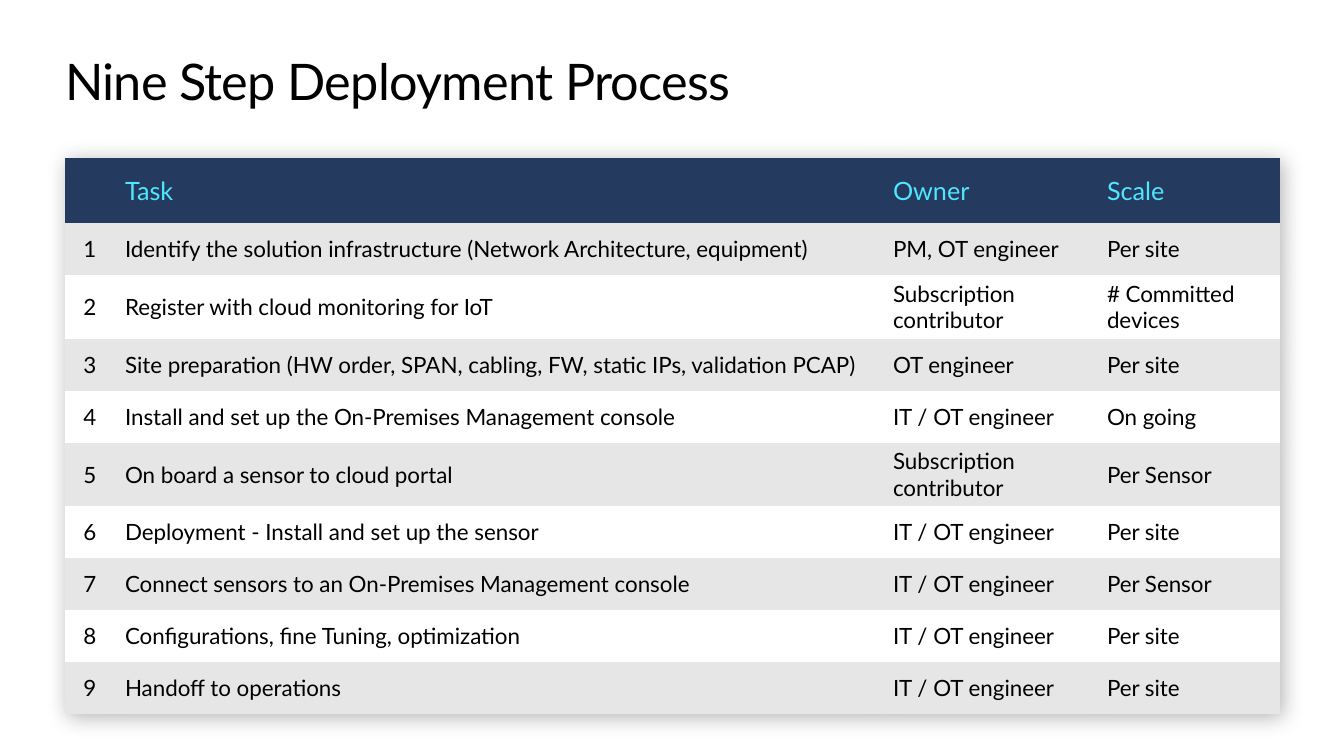
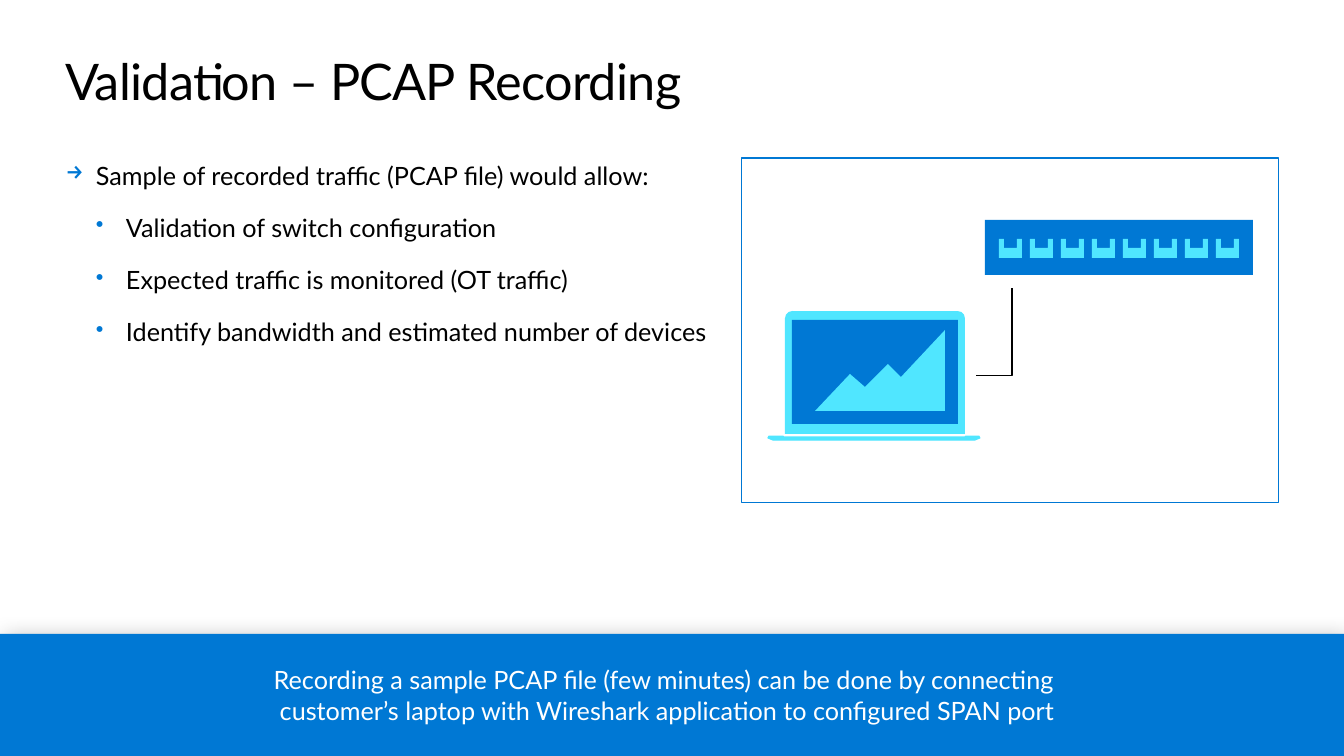
import dataclasses

import lxml.etree
import pptx
import pptx.dml.color
import pptx.enum.shapes
import pptx.enum.text
import pptx.oxml.ns
import pptx.util

SHAPE = pptx.enum.shapes.MSO_SHAPE
ALIGN = pptx.enum.text.PP_ALIGN
ANCHOR = pptx.enum.text.MSO_ANCHOR
EMU_PER_PX = 914400 / 100.8
PAGE_WIDTH, PAGE_HEIGHT = 1344, 756
MARGIN, CONTENT_WIDTH = 65, 1215
NO_TABLE_STYLE = "{2D5ABB26-0587-4C30-8999-92F81FD0307C}"


@dataclasses.dataclass(frozen=True)
class Theme:
    font: str = "Lato"
    ink: str = "000000"
    white: str = "FFFFFF"
    blue: str = "0078D4"
    cyan: str = "50E6FF"
    navy: str = "243A5E"
    stripe: str = "E6E6E6"
    title_size: int = 36
    body_size: int = 18
    cell_size: int = 16
    line_width: float = 0.75


THEME = Theme()

HEADINGS = ("", "Task", "Owner", "Scale")
COLUMN_WIDTHS = (50, 768, 214, 183)
STEPS = (
    ("Identify the solution infrastructure (Network Architecture, equipment)",
     "PM, OT engineer", "Per site"),
    ("Register with cloud monitoring for IoT", "Subscription contributor", "# Committed devices"),
    ("Site preparation (HW order, SPAN, cabling, FW, static IPs, validation PCAP)",
     "OT engineer", "Per site"),
    ("Install and set up the On-Premises Management console", "IT / OT engineer", "On going"),
    ("On board a sensor to cloud portal", "Subscription contributor", "Per Sensor"),
    ("Deployment - Install and set up the sensor", "IT / OT engineer", "Per site"),
    ("Connect sensors to an On-Premises Management console", "IT / OT engineer", "Per Sensor"),
    ("Configurations, fine Tuning, optimization", "IT / OT engineer", "Per site"),
    ("Handoff to operations", "IT / OT engineer", "Per site"),
)
BENEFITS = (
    (0, "Sample of recorded traffic (PCAP file) would allow:"),
    (1, "Validation of switch configuration"),
    (1, "Expected traffic is monitored (OT traffic)"),
    (1, "Identify bandwidth and estimated number of devices"),
)
ADVICE = ("Recording a sample PCAP file (few minutes) can be done by connecting \v"
          "customer’s laptop with Wireshark application to configured SPAN port")


# Units, colours and XML helpers
def px(length):
    return pptx.util.Emu(round(length * EMU_PER_PX))


def rgb(color):
    return pptx.dml.color.RGBColor.from_string(color)


def add_xml(parent, tag, **attributes):
    element = lxml.etree.SubElement(parent, pptx.oxml.ns.qn(tag))
    for name, value in attributes.items():
        element.set(name, str(value))
    return element


def add_soft_shadow(properties):
    effects = add_xml(properties, "a:effectLst")
    shadow = add_xml(effects, "a:outerShdw", blurRad=pptx.util.Pt(15),
                     dist=pptx.util.Pt(4), dir=45 * 60000, algn="tl", rotWithShape=0)
    color = add_xml(shadow, "a:srgbClr", val=THEME.ink)
    add_xml(color, "a:alpha", val=30000)
    return effects


# Text
def write(para, text, size=THEME.body_size, color=THEME.ink, align=ALIGN.LEFT, tracking=None):
    para.text = text
    para.alignment = align
    para.font.size = pptx.util.Pt(size)
    for span in para.runs:
        span.font.name = THEME.font
        span.font.size = pptx.util.Pt(size)
        span.font.bold = False
        span.font.color.rgb = rgb(color)
        if tracking is not None:
            span._r.get_or_add_rPr().set("spc", str(tracking))


def set_frame(frame, anchor=ANCHOR.TOP, insets=(0, 0, 0, 0)):
    frame.word_wrap = True
    frame.auto_size = pptx.enum.text.MSO_AUTO_SIZE.NONE
    frame.vertical_anchor = anchor
    (frame.margin_left, frame.margin_top,
     frame.margin_right, frame.margin_bottom) = map(px, insets)


def add_bullet(para, char, level):
    properties = para._p.get_or_add_pPr()
    properties.set("marL", str(px(30 * (level + 1))))
    properties.set("indent", str(-px(30)))
    add_xml(add_xml(properties, "a:buClr"), "a:srgbClr", val=THEME.blue)
    add_xml(properties, "a:buSzPct", val=90000)
    add_xml(properties, "a:buChar", char=char)


def add_bullet_list(page, items, left, top, width, height):
    box = page.shapes.add_textbox(px(left), px(top), px(width), px(height))
    set_frame(box.text_frame)
    for index, (level, text) in enumerate(items):
        para = box.text_frame.add_paragraph() if index else box.text_frame.paragraphs[0]
        para.level = level
        add_bullet(para, "→•"[level], level)
        write(para, text)
        para.space_before = pptx.util.Pt(3.75 if index else 0)
        para.space_after = pptx.util.Pt(12)


# Shapes
def paint(shape, fill=None, line=None):
    shape.shadow.inherit = False
    if fill:
        shape.fill.solid()
        shape.fill.fore_color.rgb = rgb(fill)
    else:
        shape.fill.background()
    if line:
        shape.line.color.rgb = rgb(line)
        shape.line.width = pptx.util.Pt(THEME.line_width)
    else:
        shape.line.fill.background()
    return shape


def add_block(shapes, left, top, width, height, kind=SHAPE.RECTANGLE, **colors):
    return paint(shapes.add_shape(kind, px(left), px(top), px(width), px(height)), **colors)


def add_outline(shapes, points, **colors):
    builder = shapes.build_freeform(*points[0], scale=EMU_PER_PX)
    builder.add_line_segments(points[1:], close=True)
    return paint(builder.convert_to_shape(), **colors)


def add_corner_line(shapes, start, end):
    line = shapes.add_connector(pptx.enum.shapes.MSO_CONNECTOR.ELBOW,
                                *map(px, start), *map(px, end))
    line.line.color.rgb = rgb(THEME.ink)
    line.line.width = pptx.util.Pt(THEME.line_width)
    properties = line.element.spPr
    properties.find(pptx.oxml.ns.qn("a:prstGeom")).set("prst", "bentConnector2")
    add_xml(properties, "a:effectLst")


# Page parts
def add_page(deck, title):
    page = deck.slides.add_slide(deck.slide_layouts[5])
    box = page.shapes.title
    box.left, box.top, box.width, box.height = map(px, (MARGIN, 50, CONTENT_WIDTH, 61))
    set_frame(box.text_frame)
    write(box.text_frame.paragraphs[0], title, size=THEME.title_size, tracking=-50)
    return page


def add_steps_table(page, top, header_height, row_height):
    rows = [HEADINGS] + [(str(number), *step) for number, step in enumerate(STEPS, 1)]
    height = header_height + row_height * len(STEPS)
    table = page.shapes.add_table(len(rows), len(HEADINGS), px(MARGIN), px(top),
                                  px(CONTENT_WIDTH), px(height)).table
    properties = table._tbl.tblPr
    properties.find(pptx.oxml.ns.qn("a:tableStyleId")).text = NO_TABLE_STYLE
    properties.insert(0, add_soft_shadow(properties))
    for column, width in zip(table.columns, COLUMN_WIDTHS):
        column.width = px(width)
    for row_index, texts in enumerate(rows):
        is_header = row_index == 0
        table.rows[row_index].height = px(header_height if is_header else row_height)
        stripe = THEME.stripe if row_index % 2 else THEME.white
        for column_index, text in enumerate(texts):
            cell = table.cell(row_index, column_index)
            cell.vertical_anchor = ANCHOR.MIDDLE
            cell.fill.solid()
            cell.fill.fore_color.rgb = rgb(THEME.navy if is_header else stripe)
            write(cell.text_frame.paragraphs[0], text,
                  size=THEME.body_size if is_header else THEME.cell_size,
                  color=THEME.cyan if is_header else THEME.ink,
                  align=ALIGN.LEFT if column_index else ALIGN.CENTER)


def add_bottom_band(page, text, top):
    band = add_block(page.shapes, 0, top, PAGE_WIDTH, PAGE_HEIGHT - top, fill=THEME.blue)
    properties = band.element.spPr
    properties.remove(properties.find(pptx.oxml.ns.qn("a:effectLst")))
    add_soft_shadow(properties)
    set_frame(band.text_frame, ANCHOR.MIDDLE, insets=(30, 30, 40, 30))
    para = band.text_frame.paragraphs[0]
    write(para, text, color=THEME.white, align=ALIGN.CENTER)
    para.space_after = pptx.util.Pt(2)


def add_network_switch(page):
    shapes = page.shapes.add_group_shape().shapes
    add_block(shapes, 985, 220, 268, 55, fill=THEME.blue)
    port = ((0, 0), (5, 0), (5, 9), (18, 9), (18, 0), (23, 0), (23, 19), (0, 19))
    for index in range(8):
        left = 999 + 31 * index
        add_outline(shapes, [(left + x, 239 + y) for x, y in port], fill=THEME.cyan)


def add_laptop(page):
    shapes = page.shapes.add_group_shape().shapes
    lid = add_block(shapes, 785, 311, 180, 123, kind=SHAPE.ROUND_2_SAME_RECTANGLE,
                    fill=THEME.cyan)
    lid.adjustments[0] = 0.06
    add_block(shapes, 792, 320, 166, 104, fill=THEME.blue)
    traffic = ((815, 411), (850, 374), (865, 387), (888, 364), (901, 377),
               (945, 330), (945, 411))
    add_outline(shapes, traffic, fill=THEME.cyan)
    base = ((769, 436), (783, 436), (784, 437), (965, 437), (966, 436), (979, 436),
            (980, 438), (975, 440), (773, 440), (768, 438))
    add_outline(shapes, base, fill=THEME.cyan, line=THEME.cyan)


# Pages
def build_process_page(deck):
    page = add_page(deck, "Nine Step Deployment Process")
    add_steps_table(page, top=158, header_height=65, row_height=52)


def build_validation_page(deck):
    page = add_page(deck, "Validation – PCAP Recording")
    add_bottom_band(page, ADVICE, top=634)
    add_bullet_list(page, BENEFITS, left=66, top=160, width=652, height=192)
    add_block(page.shapes, 742, 158, 537, 345, line=THEME.blue)
    add_network_switch(page)
    add_laptop(page)
    add_corner_line(page.shapes, (976, 376), (1012, 288))


def main():
    deck = pptx.Presentation()
    deck.slide_width, deck.slide_height = px(PAGE_WIDTH), px(PAGE_HEIGHT)
    build_process_page(deck)
    build_validation_page(deck)
    deck.save("out.pptx")


if __name__ == "__main__":
    main()
